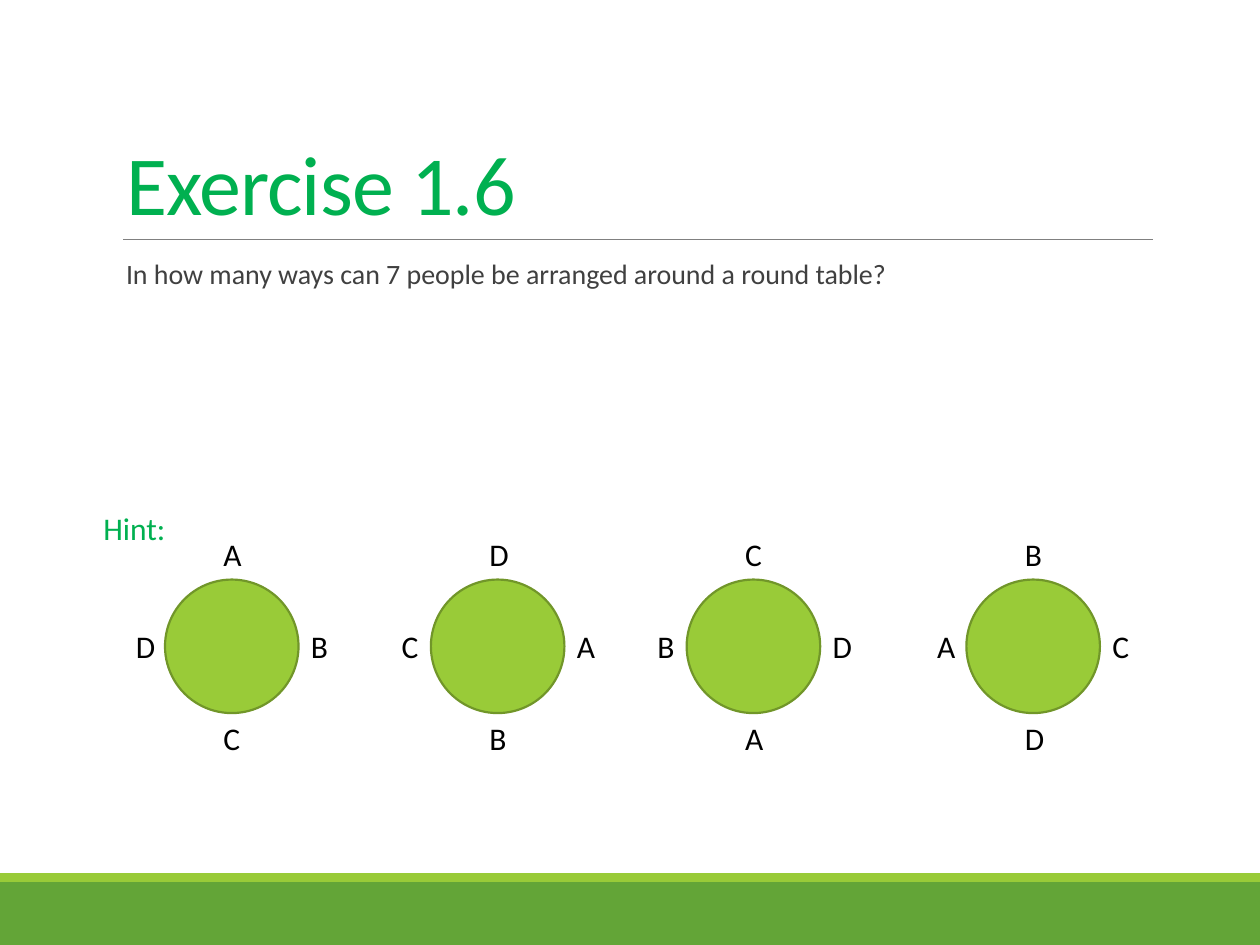
from dataclasses import dataclass

from lxml.etree import SubElement
from pptx import Presentation
from pptx.dml.color import RGBColor
from pptx.enum.shapes import MSO_CONNECTOR as Connector, MSO_SHAPE as Shape
from pptx.enum.text import MSO_ANCHOR as Anchor, MSO_AUTO_SIZE as AutoSize, PP_ALIGN as Align
from pptx.oxml.ns import qn
from pptx.util import Inches, Pt


@dataclass(frozen=True)
class Theme:
    font: str = "Calibri"
    title_size: float = 48
    body_size: float = 16
    label_size: float = 18
    accent: str = "00B050"
    body: str = "404040"
    label: str = "000000"
    rule: str = "808080"
    band: str = "63A537"
    light: str = "99CB38"
    outline: str = "719629"


THEME = Theme()
PEOPLE = "ABCD"
TABLE_LEFTS = (1.31, 3.42, 5.45, 7.67)
TABLE_TOP, TABLE_SIZE = 4.6, 1.06
SEAT_WIDTH, SEAT_HEIGHT = 0.33, 0.4


def rgb(value):
    return RGBColor.from_string(value)


def inches(*lengths):
    return [Inches(length) for length in lengths]


def write_text(frame, text, *, size, color, insets=(0.1, 0.05, 0.1, 0.05),
               anchor=Anchor.TOP, wrap=True, fit=AutoSize.NONE,
               line_spacing=1.0, space_after=0, tracking=None):
    frame.word_wrap = wrap
    frame.auto_size = fit
    frame.vertical_anchor = anchor
    (frame.margin_left, frame.margin_top,
     frame.margin_right, frame.margin_bottom) = inches(*insets)
    paragraph = frame.paragraphs[0]
    paragraph.alignment = Align.LEFT
    paragraph.line_spacing = line_spacing
    paragraph.space_before = Pt(0)
    paragraph.space_after = Pt(space_after)
    run = paragraph.add_run()
    run.text = text
    run.font.name = THEME.font
    run.font.size = Pt(size)
    run.font.color.rgb = rgb(color)
    if tracking is not None:
        run.font._element.set("spc", str(int(tracking * 100)))
    return paragraph


def place(placeholder, box):
    (placeholder.left, placeholder.top,
     placeholder.width, placeholder.height) = inches(*box)
    return placeholder.text_frame


def add_filled(shapes, kind, box, fill, outline=None):
    shape = shapes.add_shape(kind, *inches(*box))
    shape.shadow.inherit = False
    shape.fill.solid()
    shape.fill.fore_color.rgb = rgb(fill)
    if outline:
        shape.line.color.rgb = rgb(outline)
        shape.line.width = Pt(1.25)
    else:
        shape.line.fill.background()


def add_footer_bands(slide, box):
    left, top, width, height = box
    stripe = 0.07
    add_filled(slide.shapes, Shape.RECTANGLE,
               (left, top + stripe, width, height - stripe), THEME.band)
    add_filled(slide.shapes, Shape.RECTANGLE, (left, top, width, stripe), THEME.light)


def add_heading(slide, box):
    left, top, width, height = box
    write_text(place(slide.shapes.title, box), "Exercise 1.6",
               size=THEME.title_size, color=THEME.accent,
               anchor=Anchor.BOTTOM, line_spacing=0.85, tracking=-0.5)
    bottom = top + height
    rule = slide.shapes.add_connector(
        Connector.STRAIGHT, *inches(left + 0.08, bottom, left + width, bottom))
    rule.line.color.rgb = rgb(THEME.rule)
    rule.line.width = Pt(0.5)
    SubElement(rule._element.spPr, qn("a:effectLst"))


def add_question(slide, box):
    question = write_text(place(slide.placeholders[1], box),
                          "In how many ways can 7 people be arranged around a round table?",
                          size=THEME.body_size, color=THEME.body, insets=(0, 0.05, 0, 0.05),
                          line_spacing=0.9, space_after=2)
    properties = question._p.get_or_add_pPr()
    properties.set("marL", str(Inches(0.1)))
    properties.set("indent", str(Inches(-0.1)))
    bullet_color = SubElement(properties, qn("a:buClr"))
    SubElement(bullet_color, qn("a:srgbClr")).set("val", THEME.light)
    SubElement(properties, qn("a:buChar")).set("char", " ")


def add_round_table(shapes, box, seats):
    left, top, width, height = box
    add_filled(shapes, Shape.OVAL, box, THEME.light, THEME.outline)
    seat_x = left + (width - SEAT_WIDTH) / 2
    seat_y = top + (height - SEAT_HEIGHT) / 2
    clockwise = ((seat_x, top - SEAT_HEIGHT), (left + width, seat_y),
                 (seat_x, top + height), (left - SEAT_WIDTH, seat_y))
    for person, (x, y) in zip(seats, clockwise):
        seat = shapes.add_textbox(*inches(x, y, SEAT_WIDTH, SEAT_HEIGHT))
        write_text(seat.text_frame, person, size=THEME.label_size,
                   color=THEME.label, fit=AutoSize.SHAPE_TO_FIT_TEXT)


def add_hint(slide, box):
    hint = slide.shapes.add_group_shape()
    caption = hint.shapes.add_textbox(*inches(*box))
    write_text(caption.text_frame, "Hint:", size=THEME.label_size, color=THEME.accent,
               insets=(0, 0, 0, 0), wrap=False, fit=AutoSize.SHAPE_TO_FIT_TEXT)
    for turn, left in enumerate(TABLE_LEFTS):
        seats = PEOPLE[-turn:] + PEOPLE[:-turn] if turn else PEOPLE
        add_round_table(hint.shapes, (left, TABLE_TOP, TABLE_SIZE, TABLE_SIZE), seats)


def main():
    deck = Presentation()
    deck.slide_width, deck.slide_height = inches(10, 7.5)
    slide = deck.slides.add_slide(deck.slide_layouts[1])
    add_footer_bands(slide, (0, 6.93, 10, 0.57))
    add_heading(slide, (0.9, 0.31, 8.25, 1.59))
    add_question(slide, (0.9, 2.02, 8.25, 4.4))
    add_hint(slide, (0.82, 4.04, 0.5, 0.3))
    deck.save("out.pptx")


if __name__ == "__main__":
    main()
